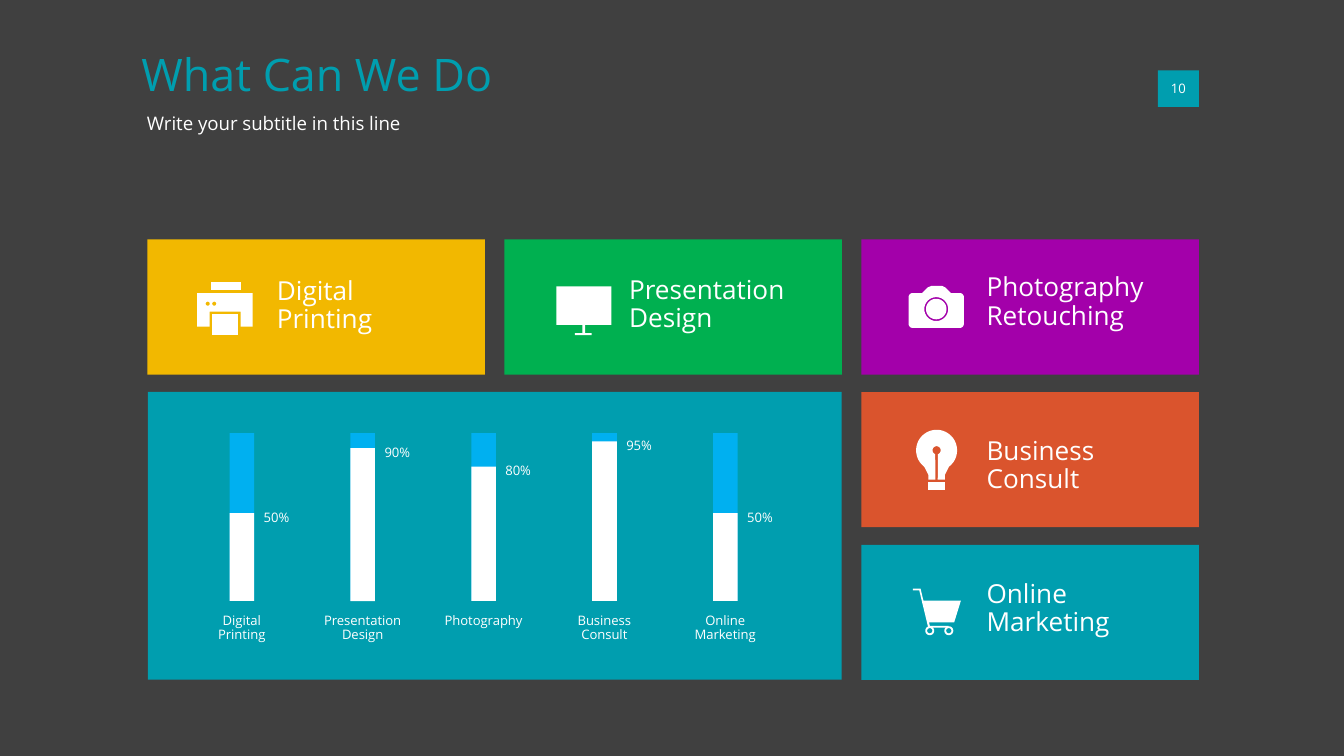
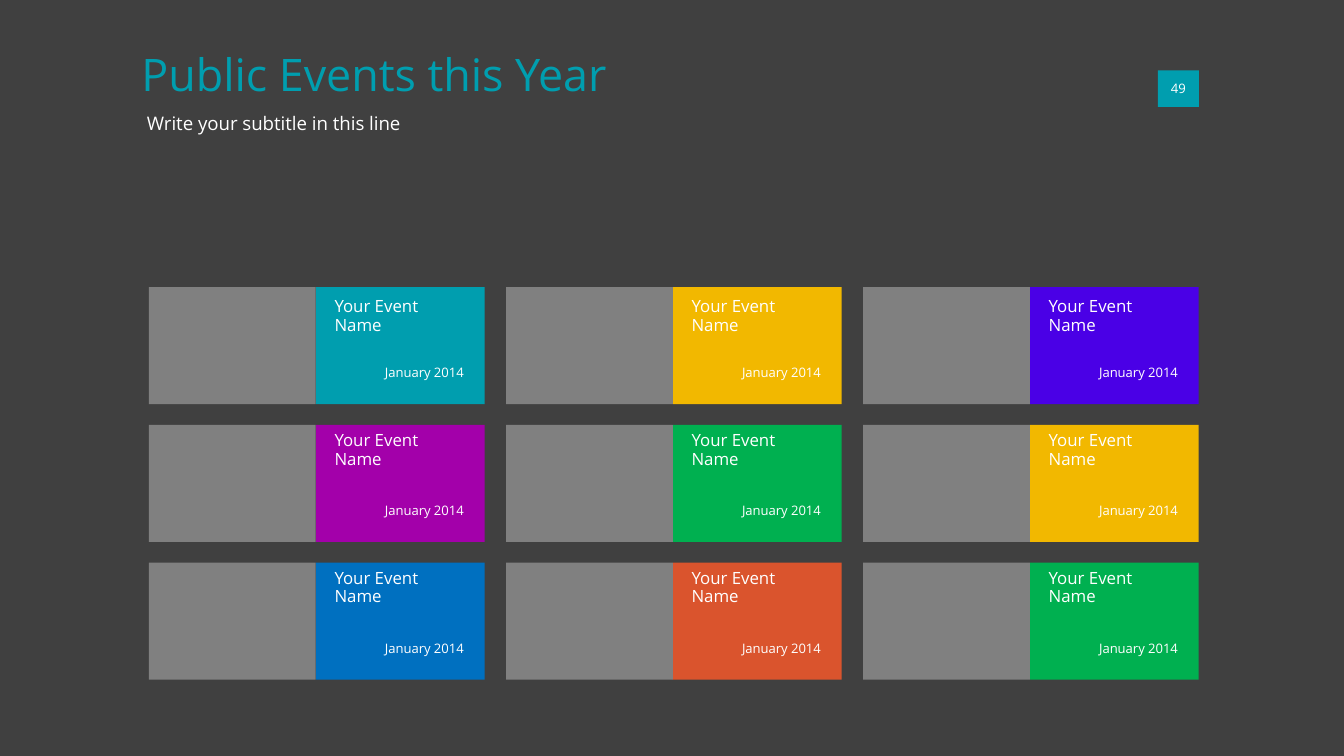
from dataclasses import dataclass
from math import cos, radians, sin

from pptx import Presentation
from pptx.dml.color import RGBColor
from pptx.enum.shapes import MSO_SHAPE
from pptx.enum.text import MSO_ANCHOR, PP_ALIGN
from pptx.util import Pt

RECTANGLE = MSO_SHAPE.RECTANGLE
LEFT, CENTER, RIGHT = PP_ALIGN.LEFT, PP_ALIGN.CENTER, PP_ALIGN.RIGHT
TOP, MIDDLE = MSO_ANCHOR.TOP, MSO_ANCHOR.MIDDLE

FONT = "Open Sans"
DARK, GRAY, WHITE = "404040", "808080", "FFFFFF"
TEAL, YELLOW, GREEN, PURPLE = "009EAF", "F2B800", "00B050", "A300AA"
ORANGE, INDIGO, BLUE, SKY = "DA542D", "4A00E6", "0070C0", "00B0F0"

Point = tuple[float, float]
Contour = list[Point]
Outline = list[Contour]


@dataclass
class Area:
    left: float
    top: float
    width: float
    height: float


@dataclass
class TextStyle:
    size: float
    color: str = WHITE
    align: PP_ALIGN = LEFT
    anchor: MSO_ANCHOR = TOP
    inset: float = 0
    wrap: bool = True


@dataclass
class Service:
    """A coloured tile: grid cell, label position and icon outlines."""
    column: int
    row: int
    color: str
    lines: list[str]
    label_left: float
    label_top: float
    icon: list[Outline]


@dataclass
class Bar:
    lines: list[str]
    value: str
    height: float


TITLE = TextStyle(24, TEAL)
SUBTITLE = TextStyle(10)
PAGE_NUMBER = TextStyle(7, align=CENTER, anchor=MIDDLE, wrap=False)
SERVICE_LABEL = TextStyle(14)
BAR_LABEL = TextStyle(7, align=CENTER, inset=3)
BAR_VALUE = TextStyle(7, inset=1.5)
EVENT_NAME = TextStyle(9)
EVENT_DATE = TextStyle(7, align=RIGHT)


def rgb(color: str) -> RGBColor:
    return RGBColor.from_string(color)


def paint(shape, color: str) -> None:
    shape.shadow.inherit = False
    shape.fill.solid()
    shape.fill.fore_color.rgb = rgb(color)
    shape.line.fill.background()


def add_rectangle(page, area: Area, color: str) -> None:
    paint(page.shapes.add_shape(RECTANGLE, Pt(area.left), Pt(area.top),
                                Pt(area.width), Pt(area.height)), color)


def add_text(page, area: Area, lines: list[str], style: TextStyle) -> None:
    box = page.shapes.add_textbox(Pt(area.left), Pt(area.top),
                                  Pt(area.width), Pt(area.height))
    frame = box.text_frame
    inset = Pt(style.inset)
    frame_format = {"word_wrap": style.wrap, "vertical_anchor": style.anchor,
                    "margin_left": inset, "margin_top": inset,
                    "margin_right": inset, "margin_bottom": inset}
    for name, value in frame_format.items():
        setattr(frame, name, value)
    for index, line in enumerate(lines):
        para = frame.add_paragraph() if index else frame.paragraphs[0]
        para.alignment = style.align
        para.line_spacing = 0.9
        span = para.add_run()
        span.text = line
        for name, value in {"name": FONT, "size": Pt(style.size)}.items():
            setattr(span.font, name, value)
        span.font.color.rgb = rgb(style.color)


def arc(x: float, y: float, radius: float, start: int, end: int) -> Contour:
    """Points along an arc, with angles in degrees clockwise from the right."""
    steps = 32
    angles = [radians(start + (end - start) * i / steps) for i in range(steps + 1)]
    return [(x + radius * cos(a), y + radius * sin(a)) for a in angles]


def circle(x: float, y: float, radius: float) -> Contour:
    return arc(x, y, radius, 0, 360)


def block(left: float, top: float, right: float, bottom: float) -> Contour:
    return [(left, top), (right, top), (right, bottom), (left, bottom)]


def add_outline(page, outline: Outline, color: str) -> None:
    """Draw one freeform; contours inside another one become holes."""
    contours = [[(Pt(x), Pt(y)) for x, y in contour] for contour in outline]
    builder = page.shapes.build_freeform(*contours[0][0])
    for index, contour in enumerate(contours):
        if index:
            builder.move_to(*contour[0])
        builder.add_line_segments(contour[1:], close=True)
    paint(builder.convert_to_shape(), color)


PRINTER = [
    [block(113, 151.2, 129, 155.4)],
    [block(113.6, 168, 127.5, 179.5)],
    [[(105.6, 157), (135.4, 157), (135.4, 175), (128.9, 175), (128.9, 167),
      (112.4, 167), (112.4, 175), (105.6, 175)],
     circle(111.3, 162.7, 1.1), circle(114.8, 162.7, 1.1)],
]
MONITOR = [[[
    (298, 153.4), (327.5, 153.4), (327.5, 174), (313.4, 174), (313.4, 178.5),
    (317, 178.5), (317, 179.5), (308, 179.5), (308, 178.5), (312, 178.5),
    (312, 174), (298, 174),
]]]
CAMERA = [
    [arc(489, 159.2, 2.2, 180, 270) + [(494, 157), (497, 154)]
     + [(499, 153.2), (504.8, 153.2), (506.5, 154), (509.5, 157)]
     + arc(514.2, 159.2, 2.2, -90, 0) + arc(514.2, 173.5, 2.2, 0, 90)
     + arc(489, 173.5, 2.2, 90, 180),
     circle(501.6, 165.6, 6.4)],
    [circle(501.6, 165.6, 5.5)],
]
BULB = [
    [arc(501.8, 241.3, 11, 127, 413)
     + [(506.2, 254.5), (506.2, 257), (502.4, 257)]
     + arc(501.8, 241.3, 2.2, 70, -250)
     + [(501.2, 257), (497.4, 257), (497.4, 254.5)]],
    [block(497.4, 258, 506.2, 262.7)],
]
CART = [
    [[(489, 315.4), (493.2, 315.4), (494.7, 321.8), (514.8, 321.8),
      (511.2, 333.4), (497.7, 333.4), (498.2, 335.3), (508.3, 335.3),
      (508.3, 336.2), (497.3, 336.2), (492.5, 316.3), (489, 316.3)]],
    *[[circle(x, 337.9, 2.4), circle(x, 337.9, 1.4)] for x in (498.1, 508.3)],
]

SERVICES = [
    Service(0, 0, YELLOW, ["Digital", "Printing"], 148.3, 149, PRINTER),
    Service(1, 0, GREEN, ["Presentation", "Design"], 337, 148.3, MONITOR),
    Service(2, 0, PURPLE, ["Photography", "Retouching"], 528.5, 146.9, CAMERA),
    Service(2, 1, ORANGE, ["Business", "Consult"], 528.5, 234.7, BULB),
    Service(2, 2, TEAL, ["Online", "Marketing"], 528.5, 311, CART),
]
BARS = [
    Bar(["Digital", "Printing"], "50%", 47),
    Bar(["Presentation", "Design"], "90%", 82),
    Bar(["Photography"], "80%", 72),
    Bar(["Business", "Consult"], "95%", 85.5),
    Bar(["Online Marketing"], "50%", 47),
]
EVENT_COLORS = [
    [TEAL, YELLOW, INDIGO],
    [PURPLE, GREEN, YELLOW],
    [BLUE, ORANGE, GREEN],
]


def add_page(deck, title: str, number: int):
    page = deck.slides.add_slide(deck.slide_layouts[6])
    page.background.fill.solid()
    page.background.fill.fore_color.rgb = rgb(DARK)
    add_rectangle(page, Area(620.3, 37.8, 22, 19.5), TEAL)
    add_text(page, Area(627.3, 43.2, 8, 8.7), [str(number)], PAGE_NUMBER)
    add_text(page, Area(75.8, 28.2, 342.5, 35.5), [title], TITLE)
    add_text(page, Area(78.7, 61.4, 497.5, 16.5),
             ["Write your subtitle in this line"], SUBTITLE)
    return page


def add_service(page, service: Service) -> None:
    add_rectangle(page, Area(79 + 191.25 * service.column,
                             128.3 + 81.8 * service.row, 180.8, 72.4),
                  service.color)
    for outline in service.icon:
        add_outline(page, outline, WHITE)
    add_text(page, Area(service.label_left, service.label_top, 94.3, 39.5),
             service.lines, SERVICE_LABEL)


def add_bar(page, bar: Bar, left: float) -> None:
    top, full_height, width = 232, 90, 13.2
    fill_top = top + full_height - bar.height
    add_rectangle(page, Area(left, top, width, full_height), SKY)
    add_rectangle(page, Area(left, fill_top, width, bar.height), WHITE)
    add_text(page, Area(left + 16.8, fill_top - 2.6, 28, 22), [bar.value], BAR_VALUE)
    add_text(page, Area(left - 20.8, 326.2, 54.7, 22), bar.lines, BAR_LABEL)


def build_services(deck) -> None:
    page = add_page(deck, "What Can We Do", 10)
    add_rectangle(page, Area(79.2, 210, 371.8, 154.2), TEAL)
    for service in SERVICES:
        add_service(page, service)
    for index, bar in enumerate(BARS):
        add_bar(page, bar, 123 + 64.75 * index)


def add_event(page, left: float, top: float, name_gap: float, color: str) -> None:
    add_rectangle(page, Area(left + 89.4, top, 90.4, 62.7), color)
    add_rectangle(page, Area(left, top, 89.4, 62.7), GRAY)
    add_text(page, Area(left + 99.4, top + name_gap, 70.6, 36),
             ["Your Event Name"], EVENT_NAME)
    add_text(page, Area(left + 106.6, top + 42.5, 62, 16.5),
             ["January 2014"], EVENT_DATE)


def build_events(deck) -> None:
    page = add_page(deck, "Public Events this Year", 49)
    for row, colors in enumerate(EVENT_COLORS):
        for column, color in enumerate(colors):
            add_event(page, 79.8 + 191.3 * column, 153.9 + 73.8 * row,
                      4 if row else 6, color)


def main() -> None:
    deck = Presentation()
    deck.slide_width, deck.slide_height = Pt(720), Pt(405)
    build_services(deck)
    build_events(deck)
    deck.save("out.pptx")


if __name__ == "__main__":
    main()
